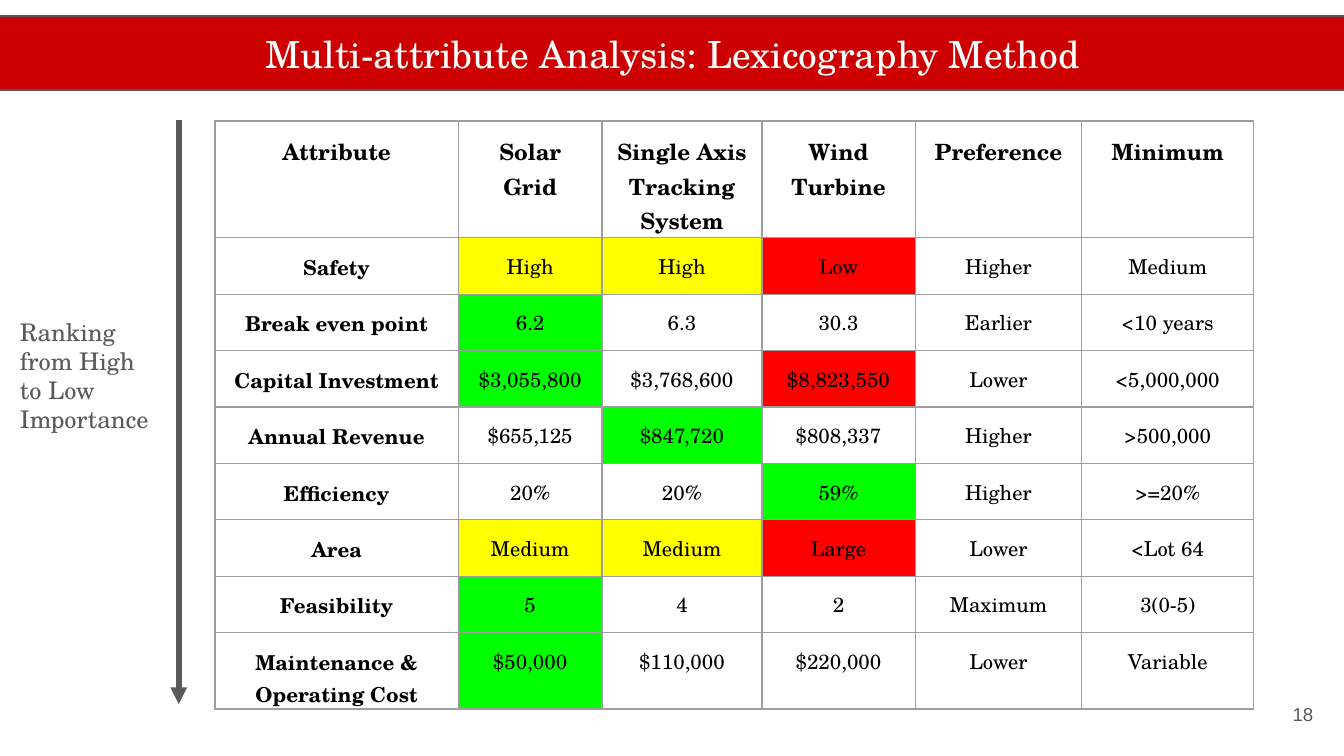
from lxml import etree
from pptx import Presentation
from pptx import util as u
from pptx.dml.color import RGBColor
from pptx.enum import shapes, text
from pptx.oxml.ns import qn

COLORS = {
    "banner": "CC0000", "gray": "595959", "grid": "9E9E9E",
    "white": "FFFFFF", "black": "000000",
    "good": "00FF00", "fair": "FFFF00", "poor": "FF0000",
}
SERIF = "TeX Gyre Schola"
WIDTH = 10
HEIGHT = WIDTH * 9 / 16
INSET = u.Inches(0.1)
COLUMNS = [1.81, 1.07, 1.19, 1.14, 1.24, 1.28]
ROWS = [0.87] + [0.42] * 8
HEADINGS = ["Attribute", "Solar Grid", "Single Axis Tracking System",
            "Wind Turbine", "Preference", "Minimum"]
ATTRIBUTES = [
    ["Safety", "High", "High", "Low", "Higher", "Medium"],
    ["Break even point", "6.2", "6.3", "30.3", "Earlier", "<10 years"],
    ["Capital Investment", "$3,055,800", "$3,768,600", "$8,823,550", "Lower", "<5,000,000"],
    ["Annual Revenue", "$655,125", "$847,720", "$808,337", "Higher", ">500,000"],
    ["Efficiency", "20%", "20%", "59%", "Higher", ">=20%"],
    ["Area", "Medium", "Medium", "Large", "Lower", "<Lot 64"],
    ["Feasibility", "5", "4", "2", "Maximum", "3(0-5)"],
    ["Maintenance & Operating Cost", "$50,000", "$110,000", "$220,000", "Lower", "Variable"],
]
RATINGS = {
    "good": [(2, 1), (3, 1), (4, 2), (5, 3), (7, 1), (8, 1)],
    "fair": [(1, 1), (1, 2), (6, 1), (6, 2)],
    "poor": [(1, 3), (3, 3), (6, 3)],
}
CELL_RATING = {cell: rating for rating, cells in RATINGS.items() for cell in cells}


def rgb(name):
    return RGBColor.from_string(COLORS[name])


def inches(box):
    return [u.Inches(length) for length in box]


def write(frame, words, size=11, color="black", font=SERIF, bold=False,
          align=text.PP_ALIGN.LEFT):
    para = frame.paragraphs[0]
    para.alignment = align
    span = para.add_run()
    span.text = words
    span.font.size = u.Pt(size)
    span.font.name = font
    span.font.bold = bold
    span.font.color.rgb = rgb(color)


def pad(target):
    target.margin_left = target.margin_right = INSET
    target.margin_top = target.margin_bottom = INSET


def add_banner(page, box):
    title = page.shapes.title
    title.left, title.top, title.width, title.height = inches(box)
    title.fill.solid()
    title.fill.fore_color.rgb = rgb("banner")
    title.line.color.rgb = rgb("gray")
    title.line.width = u.Pt(0.75)
    frame = title.text_frame
    pad(frame)
    frame.auto_size = text.MSO_AUTO_SIZE.NONE
    frame.vertical_anchor = text.MSO_ANCHOR.MIDDLE
    write(frame, "Multi-attribute Analysis: Lexicography Method", size=20,
          color="white", align=text.PP_ALIGN.CENTER)


def add_note(page, box, words, anchor=text.MSO_ANCHOR.TOP, **style):
    frame = page.shapes.add_textbox(*inches(box)).text_frame
    frame.word_wrap = True
    frame.vertical_anchor = anchor
    pad(frame)
    write(frame, words, color="gray", **style)


def add_ranking_arrow(page, box):
    left, top, width, height = box
    arrow = page.shapes.add_connector(
        shapes.MSO_CONNECTOR.STRAIGHT, *inches((left, top, left + width, top + height)))
    arrow.line.color.rgb = rgb("gray")
    arrow.line.width = u.Pt(3)
    properties = arrow._element.spPr
    etree.SubElement(properties.find(qn("a:ln")), qn("a:tailEnd"), type="triangle")
    etree.SubElement(properties, qn("a:effectLst"))


def add_borders(cell):
    properties = cell._tc.get_or_add_tcPr()
    for position, side in enumerate(("a:lnL", "a:lnR", "a:lnT", "a:lnB")):
        border = etree.Element(qn(side), w=str(int(u.Pt(0.75))))
        fill = etree.SubElement(border, qn("a:solidFill"))
        etree.SubElement(fill, qn("a:srgbClr"), val=COLORS["grid"])
        properties.insert(position, border)


def add_comparison(page, box):
    records = [HEADINGS] + ATTRIBUTES
    table = page.shapes.add_table(len(ROWS), len(COLUMNS), *inches(box)).table
    for column, width in zip(table.columns, COLUMNS):
        column.width = u.Inches(width)
    for row, height in zip(table.rows, ROWS):
        row.height = u.Inches(height)
    for r, record in enumerate(records):
        for c, words in enumerate(record):
            cell = table.cell(r, c)
            pad(cell)
            cell.fill.solid()
            cell.fill.fore_color.rgb = rgb(CELL_RATING.get((r, c), "white"))
            add_borders(cell)
            write(cell.text_frame, words, size=12 if r == 0 else 11,
                  bold=r == 0 or c == 0, align=text.PP_ALIGN.CENTER)


def main():
    deck = Presentation()
    deck.slide_width, deck.slide_height = inches((WIDTH, HEIGHT))
    page = deck.slides.add_slide(deck.slide_layouts[5])
    add_banner(page, (-0.01, 0.12, WIDTH + 0.03, 0.55))
    add_note(page, (9.27, 5.1, 0.6, 0.43), "18", anchor=text.MSO_ANCHOR.MIDDLE,
             size=10, font="Arial", align=text.PP_ALIGN.RIGHT)
    add_comparison(page, (1.6, 0.9, sum(COLUMNS), sum(ROWS)))
    add_ranking_arrow(page, (1.33, 0.89, 0, 4.35))
    add_note(page, (0.05, 2.26, 1.18, 1.1), "Ranking from High to Low Importance", size=13)
    deck.save("out.pptx")


if __name__ == "__main__":
    main()
